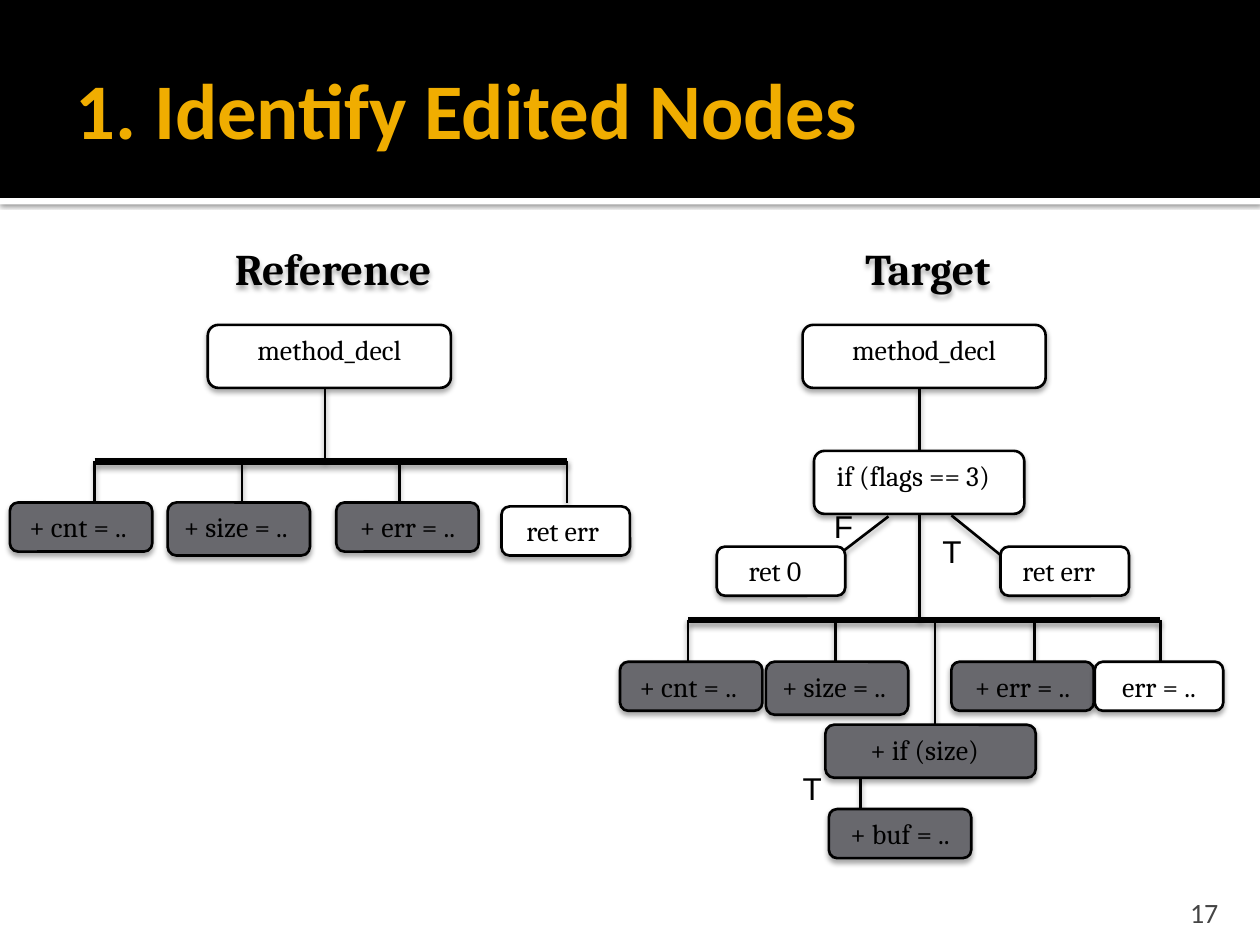
from lxml import etree
from pptx import Presentation
from pptx.dml.color import RGBColor
from pptx.enum.shapes import MSO_CONNECTOR, MSO_SHAPE
from pptx.enum.text import MSO_ANCHOR, PP_ALIGN
from pptx.oxml import parse_xml
from pptx.oxml.ns import nsdecls, qn
from pptx.util import Cm, Pt

STRAIGHT = MSO_CONNECTOR.STRAIGHT
RECT, ROUNDED = MSO_SHAPE.RECTANGLE, MSO_SHAPE.ROUNDED_RECTANGLE
LEFT, CENTER, RIGHT = PP_ALIGN.LEFT, PP_ALIGN.CENTER, PP_ALIGN.RIGHT
TOP, MIDDLE, BOTTOM = MSO_ANCHOR.TOP, MSO_ANCHOR.MIDDLE, MSO_ANCHOR.BOTTOM

BLACK, WHITE, EDITED, GOLD, GRAY = "000000", "FFFFFF", "68686D", "F0AD00", "454545"

# Shadows: opacity in percent, blur and distance in points
NODE_SHADOW, BAR_SHADOW, BAND_SHADOW = (35, 3, 2), (38, 3.5, 2), (60, 2.5, 0.8)

# Node sizes in cm
METHOD, CONDITION, EDITED_IF = (4.9, 1.27), (4.24, 1.27), (4.24, 1.07)
STATEMENT, TALL_STATEMENT, PLAIN = (2.87, 0.99), (2.87, 1.07), (2.59, 0.99)

# Nodes: text, left, top, size, extra right inset (all in cm); "+" marks an edit
REFERENCE_NODES = [
    ("method_decl", 4.19, 6.55, METHOD, 0),
    ("+ cnt = ..", 0.2, 10.13, STATEMENT, 0.12),
    ("+ size = ..", 3.38, 10.13, TALL_STATEMENT, 0.12),
    ("+ err = ..", 6.78, 10.13, STATEMENT, 0),
    ("ret err", 10.11, 10.21, PLAIN, 0.12),
]
TARGET_NODES = [
    ("method_decl", 16.18, 6.55, METHOD, 0),
    ("if (flags == 3)", 16.41, 9.09, CONDITION, 0.24),
    ("ret 0", 14.45, 11.02, PLAIN, 0.24),
    ("ret err", 20.17, 11.02, PLAIN, 0.24),
    ("+ cnt = ..", 12.5, 13.34, STATEMENT, 0.12),
    ("+ size = ..", 15.44, 13.34, TALL_STATEMENT, 0.12),
    ("+ err = ..", 19.18, 13.34, STATEMENT, 0),
    ("err = ..", 22.07, 13.34, PLAIN, 0),
    ("+ if (size)", 16.64, 14.61, EDITED_IF, 0.24),
    ("+ buf = ..", 16.71, 16.31, STATEMENT, 0),
]

# Branching bars: y of the bar, x of each stem
STEM_HEIGHT = 0.83
BRANCHES = [
    (9.3, [1.91, 4.88, 8.05, 11.43]),
    (12.5, [13.87, 16.84, 20.85, 23.39]),
]
# Other links: x1, y1, x2, y2
LINKS = [
    (6.55, 7.82, 6.55, 9.3),
    (18.54, 7.82, 18.54, 9.09),
    (18.54, 10.36, 18.54, 12.5),
    (18.85, 12.5, 18.85, 14.61),
    (17.35, 15.67, 17.35, 16.31),
    (16.84, 11.23, 17.91, 10.41),
    (20.22, 11.23, 19.18, 10.39),
]
HEADINGS = [("Reference", 3.68), ("Target", 15.67)]
BRANCH_LABELS = [("F", 16.56, 10.16), ("T", 18.75, 10.67), ("T", 15.93, 15.44)]


def color(value):
    return RGBColor.from_string(value)


def add_shadow(shape, opacity, blur, distance):
    properties = shape._element.spPr
    for old in properties.findall(qn("a:effectLst")):
        properties.remove(old)
    effects = parse_xml(f"<a:effectLst {nsdecls('a')}/>")
    outer = etree.SubElement(
        effects, qn("a:outerShdw"), blurRad=str(Pt(blur)), dist=str(Pt(distance)),
        dir="5400000", algn="ctr", rotWithShape="0")
    tint = etree.SubElement(outer, qn("a:srgbClr"), val=BLACK)
    etree.SubElement(tint, qn("a:alpha"), val=str(opacity * 1000))
    properties.append(effects)


def write(shape, text, size, font, ink=BLACK, bold=False, align=LEFT,
          anchor=TOP, insets=(0.25, 0.13, 0.25, 0.13), wrap=True, spacing=None):
    frame = shape.text_frame
    frame.word_wrap = wrap
    frame.vertical_anchor = anchor
    (frame.margin_left, frame.margin_top,
     frame.margin_right, frame.margin_bottom) = map(Cm, insets)
    para = frame.paragraphs[0]
    para.alignment = align
    para.line_spacing = spacing
    span = para.add_run()
    span.text = text
    span.font.size = Pt(size)
    span.font.name = font
    span.font.bold = bold
    span.font.color.rgb = color(ink)


def add_text(page, text, place, *style, **options):
    box = page.shapes.add_textbox(*map(Cm, place))
    write(box, text, *style, **options)
    return box


def add_band(page, top, height, fill):
    band = page.shapes.add_shape(RECT, 0, Cm(top), Cm(25.4), Cm(height))
    band.shadow.inherit = False
    band.fill.solid()
    band.fill.fore_color.rgb = color(fill)
    band.line.fill.background()
    return band


def add_line(page, ends, width=1.5, shadow=NODE_SHADOW):
    line = page.shapes.add_connector(STRAIGHT, *map(Cm, ends))
    line.line.color.rgb = color(BLACK)
    line.line.width = Pt(width)
    add_shadow(line, *shadow)


def add_node(page, text, left, top, size, extra_inset):
    node = page.shapes.add_shape(ROUNDED, *map(Cm, (left, top, *size)))
    node.adjustments[0] = 0.167
    node.fill.solid()
    node.fill.fore_color.rgb = color(EDITED if text.startswith("+") else WHITE)
    node.line.color.rgb = color(BLACK)
    node.line.width = Pt(1.5)
    add_shadow(node, *NODE_SHADOW)
    write(node, text, 16, "Cambria", align=CENTER,
          insets=(0.15, 0.1, 0.15 + extra_inset, 0.1))


def main():
    deck = Presentation()
    deck.slide_width, deck.slide_height = Cm(25.4), Cm(19.05)
    page = deck.slides.add_slide(deck.slide_layouts[6])

    add_shadow(add_band(page, 3.99, 0.13, WHITE), *BAND_SHADOW)
    add_band(page, 0, 3.99, BLACK)
    add_text(page, "1. Identify Edited Nodes", (1.27, 0.43, 22.86, 3.48),
             45, "Calibri", GOLD, bold=True, anchor=MIDDLE,
             insets=(0.25, 0.13, 0.13, 0.13))
    add_text(page, "17", (22.78, 17.98, 2.03, 0.76), 16, "Calibri", GRAY,
             align=RIGHT, anchor=BOTTOM, insets=(0.25, 0.13, 0.25, 0))

    for text, left in HEADINGS:
        heading = add_text(page, text, (left, 4.88, 6.07, 1.65), 25, "Cambria",
                           bold=True, align=CENTER, insets=(0, 0, 0, 0))
        add_shadow(heading, *NODE_SHADOW)

    for y, stems in BRANCHES:
        add_line(page, (stems[0], y, stems[-1], y), 3.78, BAR_SHADOW)
        for x in stems:
            add_line(page, (x, y, x, y + STEM_HEIGHT))
    for ends in LINKS:
        add_line(page, ends)
    for node in REFERENCE_NODES + TARGET_NODES:
        add_node(page, *node)
    for text, left, top in BRANCH_LABELS:
        add_text(page, text, (left, top, 0.91, 0.99), 18, "Arial",
                 wrap=False, spacing=0.93)

    deck.save("out.pptx")


if __name__ == "__main__":
    main()
